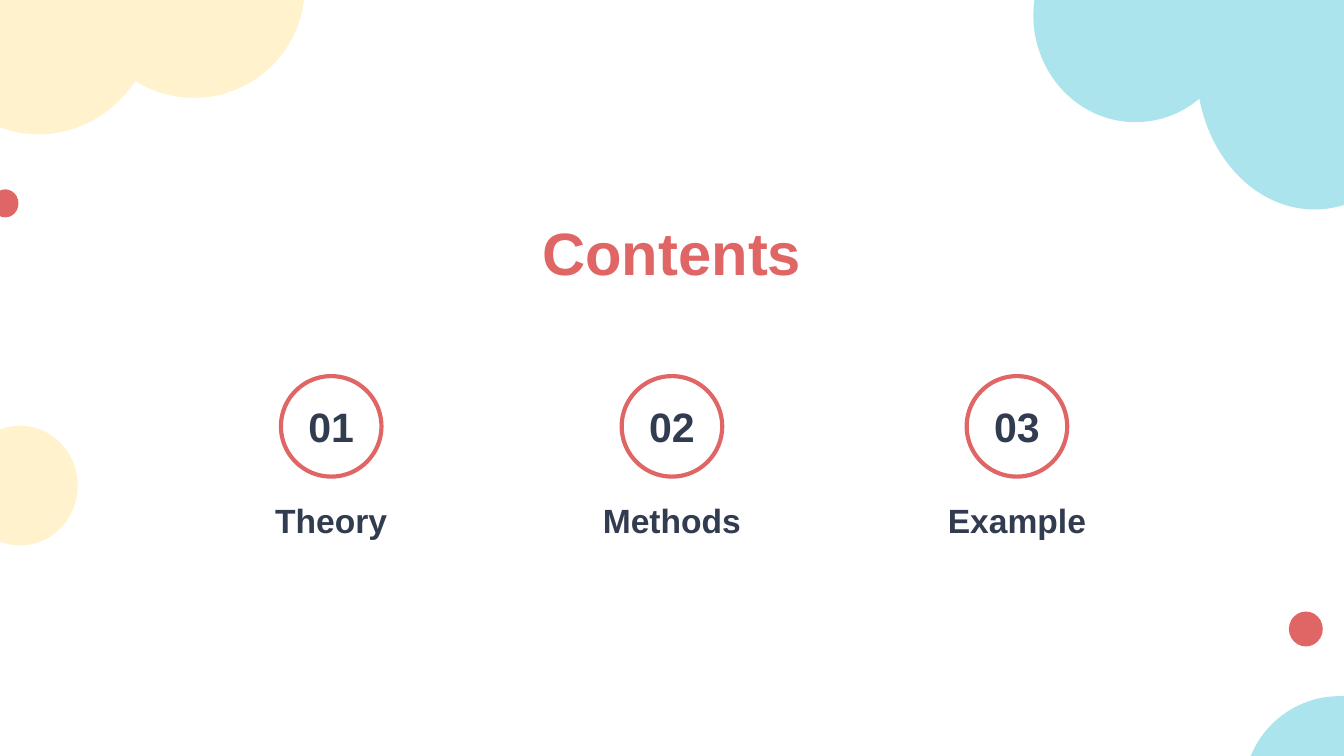
from typing import NamedTuple

from pptx import Presentation
from pptx.dml.color import RGBColor
from pptx.enum.shapes import MSO_SHAPE
from pptx.enum.text import MSO_ANCHOR, MSO_AUTO_SIZE, PP_ALIGN
from pptx.util import Cm, Pt

OVAL = MSO_SHAPE.OVAL
MIDDLE, BOTTOM = MSO_ANCHOR.MIDDLE, MSO_ANCHOR.BOTTOM
CENTER = PP_ALIGN.CENTER
NO_FIT = MSO_AUTO_SIZE.NONE

COLORS = {"red": "E06666", "cream": "FFF2CC", "aqua": "ACE4ED", "navy": "323C50"}


class Box(NamedTuple):
    """Left, top, width and height in centimetres."""
    left: float
    top: float
    width: float
    height: float


class Blob(NamedTuple):
    box: Box
    color: str


class Topic(NamedTuple):
    center: float
    label: str


BLOBS = [
    Blob(Box(-0.15, 3.58, 0.5, 0.53), "red"),
    Blob(Box(-0.71, 8.05, 2.18, 2.26), "cream"),
    Blob(Box(23.5, 13.16, 3.63, 3.66), "aqua"),
    Blob(Box(24.36, 11.56, 0.64, 0.66), "red"),
    Blob(Box(22.61, -1.45, 4.47, 5.41), "aqua"),
    Blob(Box(19.53, -1.73, 3.86, 4.04), "aqua"),
    Blob(Box(-1.5, -2.26, 4.47, 4.8), "cream"),
    Blob(Box(1.57, -2.34, 4.19, 4.19), "cream"),
]
TOPICS = [Topic(6.26, "Theory"), Topic(12.7, "Methods"), Topic(19.22, "Example")]


def rgb(name: str) -> RGBColor:
    return RGBColor.from_string(COLORS[name])


def add_oval(slide, box: Box):
    oval = slide.shapes.add_shape(OVAL, *map(Cm, box))
    oval.shadow.inherit = False
    return oval


def add_blob(slide, blob: Blob) -> None:
    oval = add_oval(slide, blob.box)
    oval.fill.solid()
    oval.fill.fore_color.rgb = rgb(blob.color)
    oval.line.fill.background()


def add_ring(slide, box: Box) -> None:
    ring = add_oval(slide, box)
    ring.fill.background()
    ring.line.color.rgb = rgb("red")
    ring.line.width = Pt(2.25)


def set_text(shape, text: str, size: int, color: str, anchor=MIDDLE) -> None:
    frame = shape.text_frame
    inset = Cm(0.25)
    layout = {
        "word_wrap": True, "auto_size": NO_FIT, "vertical_anchor": anchor,
        "margin_left": inset, "margin_right": inset,
        "margin_top": inset, "margin_bottom": inset,
    }
    for name, value in layout.items():
        setattr(frame, name, value)
    frame.text = text
    line = frame.paragraphs[0]
    line.alignment = CENTER
    font = line.runs[0].font
    for name, value in {"name": "Arial", "size": Pt(size), "bold": True}.items():
        setattr(font, name, value)
    font.color.rgb = rgb(color)


def add_title(slide, text: str, box: Box) -> None:
    title = slide.shapes.title
    for name, value in zip(Box._fields, box):
        setattr(title, name, Cm(value))
    set_text(title, text, 32, "red")


def add_topic(slide, number: int, topic: Topic) -> None:
    def centered(top: float, width: float, height: float) -> Box:
        return Box(topic.center - width / 2, top, width, height)

    def add_box(box: Box):
        return slide.shapes.add_textbox(*map(Cm, box))

    label = add_box(centered(9.35, 6.43, 1.12))
    set_text(label, topic.label, 18, "navy", BOTTOM)
    digits = add_box(centered(7.5, 1.7, 1.12))
    set_text(digits, f"{number:02}", 22, "navy")
    add_ring(slide, centered(7.11, 1.9, 1.9))


def main() -> None:
    deck = Presentation()
    deck.slide_width, deck.slide_height = Cm(25.4), Cm(14.29)
    slide = deck.slides.add_slide(deck.slide_layouts[5])
    for blob in BLOBS:
        add_blob(slide, blob)
    add_title(slide, "Contents", Box(1.98, 4.04, 21.44, 1.42))
    for number, topic in enumerate(TOPICS, 1):
        add_topic(slide, number, topic)
    deck.save("out.pptx")


if __name__ == "__main__":
    main()
